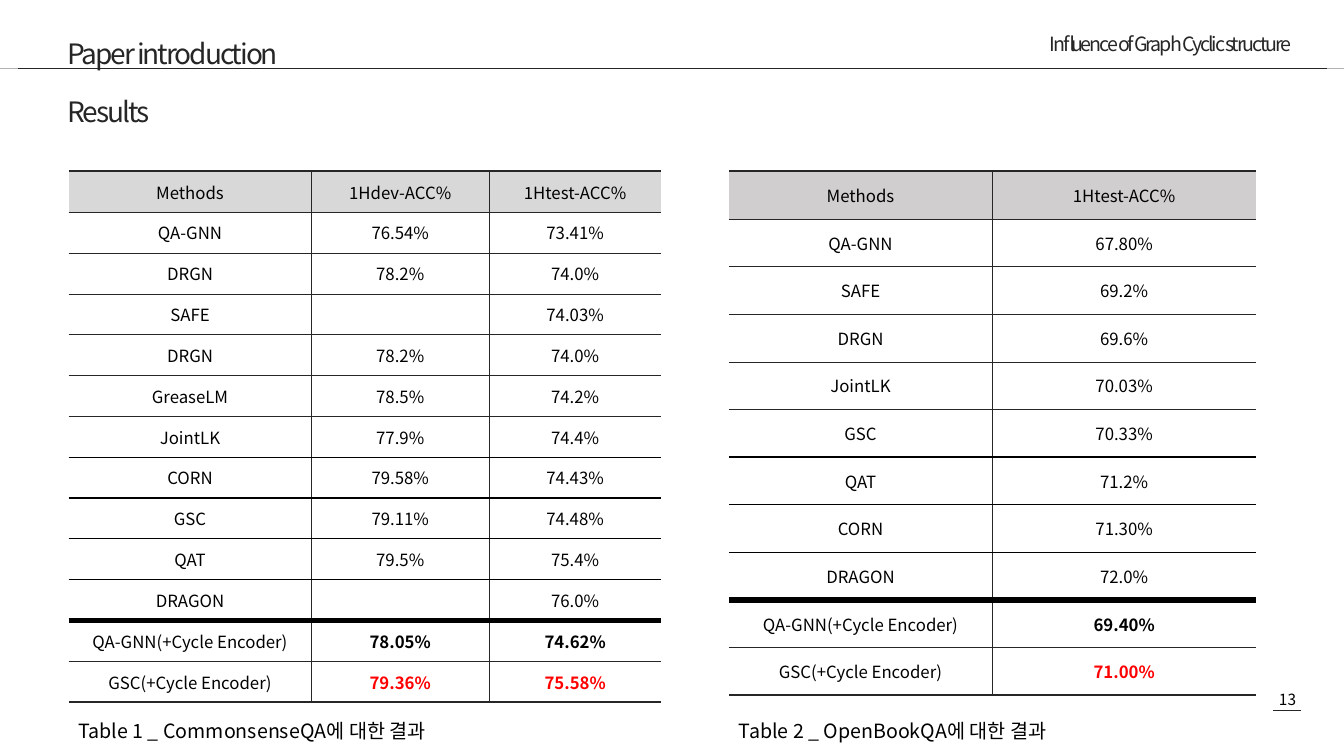
from lxml.etree import SubElement
from pptx import Presentation
from pptx.dml.color import RGBColor
from pptx.enum.shapes import MSO_CONNECTOR, MSO_SHAPE
from pptx.enum.text import MSO_ANCHOR, MSO_AUTO_SIZE, PP_ALIGN
from pptx.oxml.ns import qn
from pptx.util import Inches, Pt

FONT = "Noto Sans CJK KR"
DARK, BLACK, RED = "262626", "000000", "FF0000"
THIN = (DARK, 0.5)
MEDIUM = (BLACK, 1)
DIVIDER = (BLACK, 4.5)
OUTER = (DARK, 1.5)

COMMONSENSE_ROWS = [
    ("Methods", "1Hdev-ACC%", "1Htest-ACC%"),
    ("QA-GNN", "76.54%", "73.41%"),
    ("DRGN", "78.2%", "74.0%"),
    ("SAFE", "", "74.03%"),
    ("DRGN", "78.2%", "74.0%"),
    ("GreaseLM", "78.5%", "74.2%"),
    ("JointLK", "77.9%", "74.4%"),
    ("CORN", "79.58%", "74.43%"),
    ("GSC", "79.11%", "74.48%"),
    ("QAT", "79.5%", "75.4%"),
    ("DRAGON", "", "76.0%"),
    ("QA-GNN(+Cycle Encoder)", "78.05%", "74.62%"),
    ("GSC(+Cycle Encoder)", "79.36%", "75.58%"),
]
OPENBOOK_ROWS = [
    ("Methods", "1Htest-ACC%"),
    ("QA-GNN", "67.80%"),
    ("SAFE", "69.2%"),
    ("DRGN", "69.6%"),
    ("JointLK", "70.03%"),
    ("GSC", "70.33%"),
    ("QAT", "71.2%"),
    ("CORN", "71.30%"),
    ("DRAGON", "72.0%"),
    ("QA-GNN(+Cycle Encoder)", "69.40%"),
    ("GSC(+Cycle Encoder)", "71.00%"),
]


def set_color(color_format, color):
    color_format.rgb = RGBColor.from_string(color)


def set_fill(fill, color):
    fill.solid()
    set_color(fill.fore_color, color)


def write(text_frame, text, size, color=BLACK, align=PP_ALIGN.LEFT,
          line_spacing=None, tracking=None, bold=False):
    """Put one formatted paragraph in a text frame; tracking is in points."""
    text_frame.text = text
    paragraph = text_frame.paragraphs[0]
    paragraph.alignment = align
    paragraph.line_spacing = line_spacing
    for run in paragraph.runs:
        run.font.size = Pt(size)
        run.font.name = FONT
        run.font.bold = bold
        set_color(run.font.color, color)
        properties = run.font._element
        SubElement(properties, qn("a:ea")).set("typeface", FONT)
        if tracking:
            properties.set("spc", str(int(tracking * 100)))
    if not text:
        end_properties = SubElement(paragraph._p, qn("a:endParaRPr"))
        end_properties.set("sz", str(size * 100))


def place(shape, left, top, width, height):
    shape.left, shape.top = Inches(left), Inches(top)
    shape.width, shape.height = Inches(width), Inches(height)


def format_text(shape, text, size, anchor=MSO_ANCHOR.MIDDLE, **style):
    frame = shape.text_frame
    frame.word_wrap = True
    frame.auto_size = MSO_AUTO_SIZE.NONE
    frame.vertical_anchor = anchor
    write(frame, text, size, **style)


def add_text(slide, box, text, size, **style):
    shape = slide.shapes.add_textbox(*map(Inches, box))
    format_text(shape, text, size, **style)


def add_horizontal_line(slide, left, right, y):
    line = slide.shapes.add_connector(
        MSO_CONNECTOR.STRAIGHT, Inches(left), Inches(y), Inches(right), Inches(y))
    set_color(line.line.color, DARK)
    line.line.width = Pt(0.5)
    SubElement(line._element.spPr, qn("a:effectLst"))


def set_borders(cell, left, right, top, bottom):
    """Draw each (colour, points) side; None leaves the side open."""
    properties = cell._tc.get_or_add_tcPr()
    for tag, side in (("a:lnL", left), ("a:lnR", right), ("a:lnT", top), ("a:lnB", bottom)):
        line = SubElement(properties, qn(tag))
        if side is None:
            SubElement(line, qn("a:noFill"))
            continue
        color, width = side
        line.set("w", str(Pt(width)))
        solid = SubElement(line, qn("a:solidFill"))
        SubElement(solid, qn("a:srgbClr")).set("val", color)


def add_results_table(slide, left, height, widths, rows, header_fill, medium_from):
    """Add a table whose row bottoms turn medium from the given row index on."""
    count = len(rows)
    last_column = len(widths) - 1
    rules = [OUTER] + [THIN] * medium_from + [MEDIUM] * (count - 3 - medium_from)
    rules += [DIVIDER, THIN, OUTER]
    frame = slide.shapes.add_table(count, len(widths), Inches(left), Inches(1.7),
                                   Inches(sum(widths)), Inches(height))
    table = frame.table
    table.first_row = table.horz_banding = False
    for column, width in zip(table.columns, widths):
        column.width = Inches(width)
    for row_index, values in enumerate(rows):
        table.rows[row_index].height = Inches(height / count)
        for column_index, value in enumerate(values):
            cell = table.cell(row_index, column_index)
            cell.vertical_anchor = MSO_ANCHOR.MIDDLE
            is_ours = row_index >= count - 2 and column_index > 0
            is_best = is_ours and row_index == count - 1
            write(cell.text_frame, value, 12, RED if is_best else BLACK,
                  PP_ALIGN.CENTER, bold=is_ours)
            set_borders(cell,
                        THIN if column_index > 0 else None,
                        THIN if column_index < last_column else None,
                        rules[row_index], rules[row_index + 1])
            if row_index == 0:
                set_fill(cell.fill, header_fill)
            else:
                cell.fill.background()


def add_header_rule(slide):
    bar = slide.shapes.add_shape(MSO_SHAPE.RECTANGLE, 0, Inches(0.68), Inches(13.33), 0)
    bar.shadow.inherit = False
    set_fill(bar.fill, DARK)
    bar.line.fill.background()
    add_horizontal_line(slide, 0.18, 13.16, 0.68)


def main():
    presentation = Presentation()
    presentation.slide_width = Inches(13.33)
    presentation.slide_height = Inches(7.5)
    slide = presentation.slides.add_slide(presentation.slide_layouts[5])

    add_text(slide, (12.43, 6.79, 0.68, 0.29), "13", 11, align=PP_ALIGN.CENTER)
    add_horizontal_line(slide, 12.63, 12.9, 7.05)
    add_text(slide, (7.16, 0.25, 5.75, 0.36), "Influence of Graph Cyclic structure", 14,
             color=DARK, align=PP_ALIGN.RIGHT, tracking=-1.5)
    add_header_rule(slide)

    heading = {"color": DARK, "line_spacing": 1.3, "tracking": -1.5}
    title = slide.shapes.title
    place(title, 0.57, 0.14, 6.1, 0.68)
    format_text(title, "Paper introduction", 20, **heading)
    add_text(slide, (0.57, 0.71, 6.1, 0.68), "Results", 20, **heading)

    add_results_table(slide, 0.68, 5.27, (2.41, 1.76, 1.71), COMMONSENSE_ROWS, "D8D8D8", 6)
    add_results_table(slide, 7.23, 5.2, (2.61, 2.62), OPENBOOK_ROWS, "D0CECE", 5)
    for left, caption in ((0.68, "Table 1 _ CommonsenseQA에 대한 결과"),
                          (7.23, "Table 2 _ OpenBookQA에 대한 결과")):
        add_text(slide, (left, 6.97, 5.77, 0.42), caption, 14,
                 anchor=MSO_ANCHOR.TOP, line_spacing=1.5)

    presentation.save("out.pptx")


if __name__ == "__main__":
    main()
